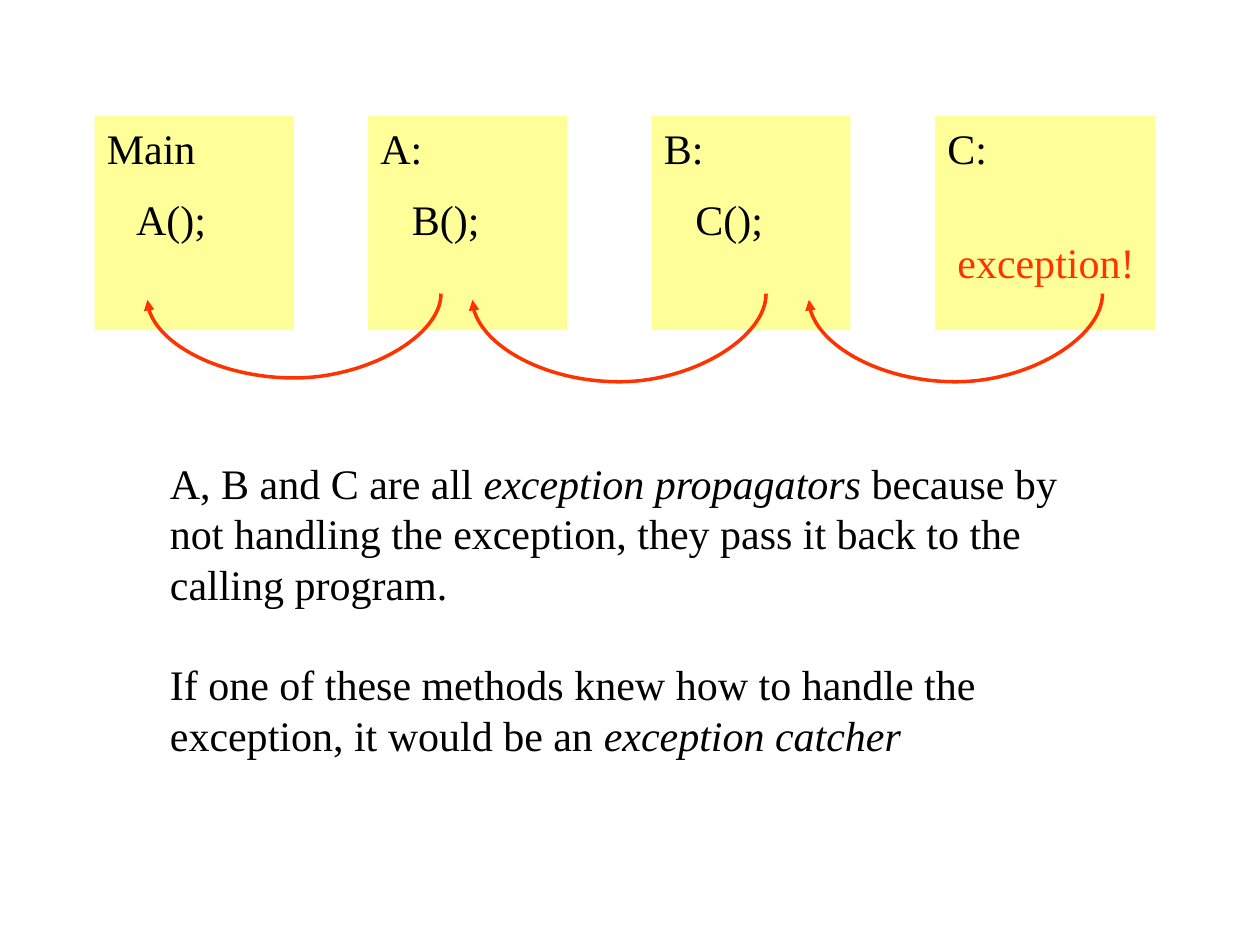
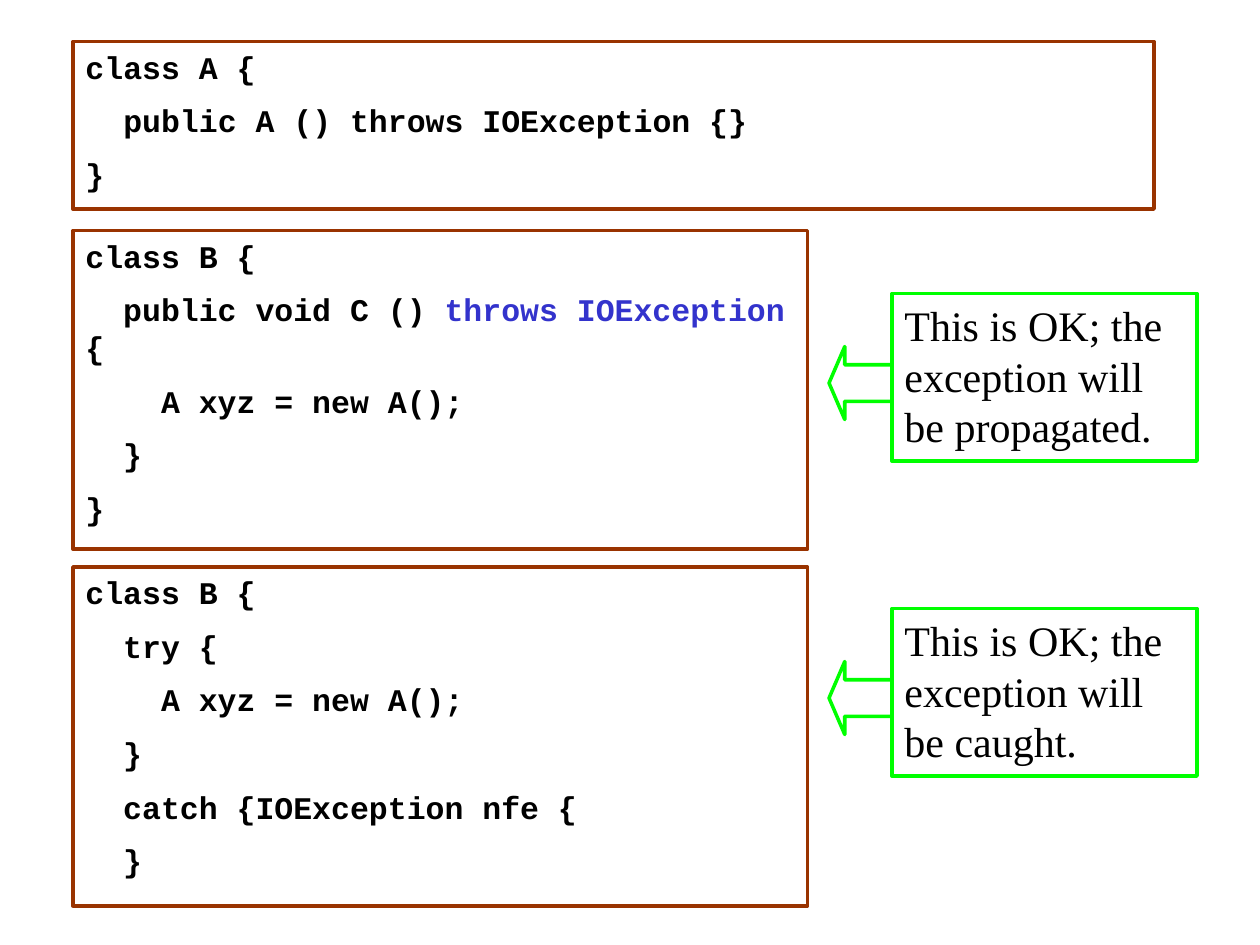
from lxml.etree import SubElement
from pptx import Presentation
from pptx.dml.color import RGBColor
from pptx.enum.shapes import MSO_CONNECTOR, MSO_SHAPE
from pptx.enum.text import MSO_ANCHOR, PP_ALIGN
from pptx.oxml.ns import qn
from pptx.util import Inches, Pt

COLORS = {
    "text": "000000",
    "method": "FFFF99",
    "exception": "FF3300",
    "code_border": "993300",
    "callout": "00FF00",
    "throws": "3333CC",
}
SERIF = "Times New Roman"
MONO = "Courier New"


def write_text(shape, paragraphs, size=24, font=SERIF, color="text", bold=False, space=0, wrap=True):
    frame = shape.text_frame
    frame.word_wrap = wrap
    frame.vertical_anchor = MSO_ANCHOR.TOP
    for index, runs in enumerate(paragraphs):
        paragraph = frame.paragraphs[0] if index == 0 else frame.add_paragraph()
        paragraph.alignment = PP_ALIGN.LEFT
        if index:
            paragraph.space_before = Pt(space)
        for part in [runs] if isinstance(runs, str) else runs:
            text, changes = (part, {}) if isinstance(part, str) else part
            run = paragraph.add_run()
            run.text = text
            run.font.name = font
            run.font.size = Pt(size)
            run.font.bold = bold
            run.font.italic = changes.get("italic", False)
            run.font.color.rgb = RGBColor.from_string(COLORS[changes.get("color", color)])


def add_box(shapes, left, top, width, height, fill=None, line=None, kind=MSO_SHAPE.RECTANGLE):
    shape = shapes.add_shape(kind, Inches(left), Inches(top), Inches(width), Inches(height))
    shape.shadow.inherit = False
    if fill:
        shape.fill.solid()
        shape.fill.fore_color.rgb = RGBColor.from_string(COLORS[fill])
    else:
        shape.fill.background()
    if line:
        shape.line.color.rgb = RGBColor.from_string(COLORS[line])
        shape.line.width = Pt(2)
    else:
        shape.line.fill.background()
    return shape


presentation = Presentation()
presentation.slide_width = Inches(10)
presentation.slide_height = Inches(7.5)
blank_layout = presentation.slide_layouts[6]

slide = presentation.slides.add_slide(blank_layout)
methods = [
    (0.75, 1.58, ["Main", "   A();"]),
    (2.92, 1.58, ["A:", "   B();"]),
    (5.17, 1.58, ["B:", "   C();"]),
    (7.42, 1.75, ["C:"]),
]
for left, width, lines in methods:
    method_box = add_box(slide.shapes, left, 0.92, width, 1.7, fill="method")
    write_text(method_box, lines, space=12)

explanation = slide.shapes.add_textbox(Inches(1.25), Inches(3.58), Inches(7.41), Inches(2.5))
write_text(explanation, [
    [
        "A, B and C are all ",
        ("exception propagators", {"italic": True}),
        " because by not handling the exception, they pass it back to the calling program.",
    ],
    [
        "If one of these methods knew how to handle the exception, it would be an ",
        ("exception catcher", {"italic": True}),
    ],
], space=28.8)

arc_span, arc_drop, arc_top = 2.33, 0.05, 2.33
for arc_right, arc_depth in [(6.08, 0.7), (3.5, 0.67), (8.75, 0.7)]:
    center_x = arc_right - arc_span / 2
    center_y = arc_top + arc_drop / 2
    arc = slide.shapes.add_connector(
        MSO_CONNECTOR.CURVE,
        Inches(center_x - arc_drop / 2), Inches(center_y - arc_span / 2),
        Inches(center_x + arc_drop / 2), Inches(center_y + arc_span / 2),
    )
    arc.line.color.rgb = RGBColor.from_string(COLORS["exception"])
    arc.line.width = Pt(2)
    properties = arc._element.spPr
    properties.find(qn("a:xfrm")).set("rot", "5400000")
    adjustments = properties.find(qn("a:prstGeom")).find(qn("a:avLst"))
    bend = round(arc_depth / arc_drop * 100000)
    SubElement(adjustments, qn("a:gd"), name="adj1", fmla=f"val {bend}")
    SubElement(properties.find(qn("a:ln")), qn("a:tailEnd"), type="triangle")
    SubElement(properties, qn("a:effectLst"))

exception_label = slide.shapes.add_textbox(Inches(7.5), Inches(1.83), Inches(1.61), Inches(0.5))
write_text(exception_label, ["exception!"], color="exception", wrap=False)

slide = presentation.slides.add_slide(blank_layout)
code_blocks = [
    (0.33, 8.58, 1.33, [
        "class A {",
        "  public A () throws IOException {}",
        "}",
    ]),
    (1.83, 5.83, 2.53, [
        "class B {",
        ["  public void C () ", ("throws IOException", {"color": "throws"}), " {"],
        "    A xyz = new A();",
        "  }",
        "}",
    ]),
    (4.5, 5.83, 2.69, [
        "class B {",
        "  try {",
        "    A xyz = new A();",
        "  }",
        "  catch {IOException nfe {",
        "  }",
    ]),
]
for top, width, height, lines in code_blocks:
    code_box = add_box(slide.shapes, 0.58, top, width, height, line="code_border")
    write_text(code_box, lines, size=18, font=MONO, bold=True, space=9)

for top, outcome in [(2.33, "propagated"), (4.83, "caught")]:
    callout = slide.shapes.add_group_shape()
    note = add_box(callout.shapes, 7.08, top, 2.42, 1.33, line="callout")
    write_text(note, [f"This is OK; the exception will be {outcome}."])
    arrow = add_box(callout.shapes, 6.58, top + 0.42, 0.5, 0.58, line="callout", kind=MSO_SHAPE.LEFT_ARROW)
    arrow.adjustments[0] = 0.5
    arrow.adjustments[1] = 0.25

presentation.save("out.pptx")
